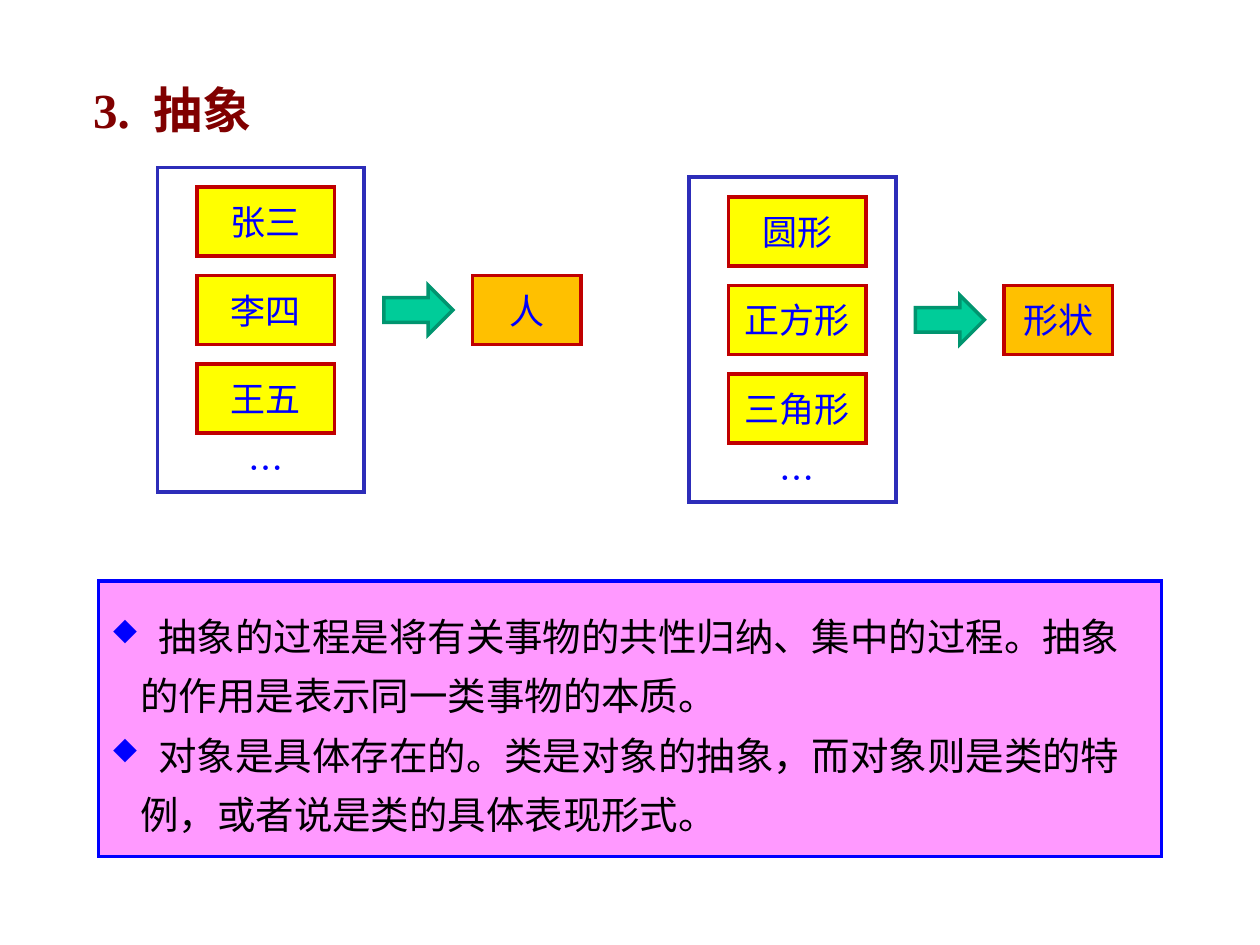
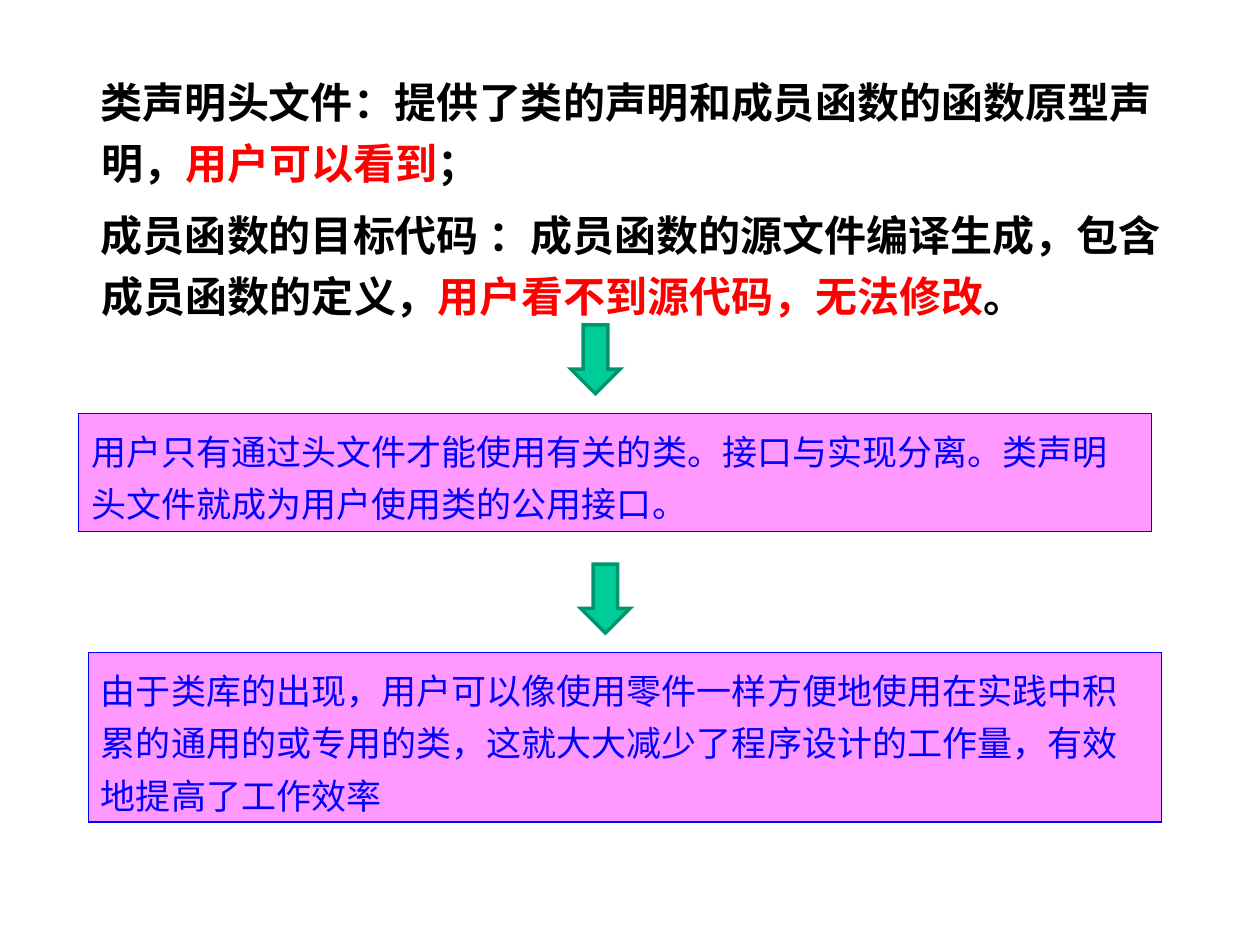
import dataclasses

import lxml.etree
import pptx
import pptx.dml.color
import pptx.enum.shapes
import pptx.enum.text
import pptx.oxml.ns
import pptx.util

SHAPE = pptx.enum.shapes.MSO_SHAPE
ALIGN = pptx.enum.text.PP_ALIGN
ANCHOR = pptx.enum.text.MSO_ANCHOR
Pt = pptx.util.Pt
qn = pptx.oxml.ns.qn
SCALE = 914400 / 128  # EMU in one px


@dataclasses.dataclass(frozen=True)
class Theme:
    serif: str = "Times New Roman"
    sans: str = "Noto Sans CJK SC"
    maroon: str = "800000"
    black: str = "000000"
    red: str = "FF0000"
    blue: str = "0000FF"
    navy: str = "2D2DB9"
    brick: str = "C00000"
    yellow: str = "FFFF00"
    amber: str = "FFC000"
    pink: str = "FF99FF"
    green: str = "00CC99"
    pine: str = "00956F"
    title: int = 28
    lead: int = 24
    body: int = 22
    label: int = 20
    thick: float = 2
    thin: float = 0.75


T = Theme()
TITLE = {"face": T.serif, "size": T.title, "color": T.maroon, "bold": True}
LEAD = {"face": T.serif, "size": T.lead, "color": T.black, "bold": True}
ALERT = LEAD | {"color": T.red}
BODY = {"face": T.serif, "size": T.body, "color": T.black, "bold": False}
WIDE = BODY | {"track": 5.5}
LABEL = {"face": T.sans, "size": T.label, "color": T.blue, "bold": False}
MID = {"alignment": ALIGN.CENTER}


def px(n):
    return round(n * SCALE)


def rgb(code):
    return pptx.dml.color.RGBColor.from_string(code)


def apply(item, values):
    for name, value in values.items():
        setattr(item, name, value)


def node(parent, tag, **attrs):
    return lxml.etree.SubElement(parent, qn(tag), attrs)


def write(shape, paras, form, anchor=ANCHOR.TOP, left=0, first=0, mark=False):
    """Fill a shape with paragraphs, each a list of (text, style) runs."""
    frame = shape.text_frame
    apply(frame, {
        "word_wrap": True, "vertical_anchor": anchor,
        "margin_left": Pt(7.2), "margin_right": Pt(7.2),
        "margin_top": Pt(3.6), "margin_bottom": Pt(3.6),
    })
    for i, runs in enumerate(paras):
        para = frame.add_paragraph() if i else frame.paragraphs[0]
        props = para._p.get_or_add_pPr()
        props.set("marL", str(px(left)))
        props.set("indent", str(px(first)))
        props.set("hangingPunct", "0")
        if mark:
            node(node(props, "a:buClr"), "a:srgbClr", val=T.blue)
            node(props, "a:buSzPct", val="75000")
            node(props, "a:buFont", typeface="Wingdings", charset="2")
            node(props, "a:buChar", char="u")  # a diamond in Wingdings
        else:
            node(props, "a:buNone")
        apply(para, {"alignment": ALIGN.LEFT} | form)
        if i == 0:
            para.space_before = Pt(0)
        for text, style in runs:
            run = para.add_run()
            run.text = text
            apply(run.font, {"name": style["face"], "size": Pt(style["size"]),
                             "bold": style["bold"]})
            run.font.color.rgb = rgb(style["color"])
            props = run._r.get_or_add_rPr()
            node(props, "a:ea", typeface=T.sans)
            if "track" in style:
                props.set("spc", str(round(style["track"] * 100)))


def shape(slide, kind, area, fill, line, width=T.thick):
    item = slide.shapes.add_shape(kind, *map(px, area))
    item.shadow.inherit = False
    if fill:
        item.fill.solid()
        item.fill.fore_color.rgb = rgb(fill)
    else:
        item.fill.background()
    item.line.color.rgb = rgb(line)
    item.line.width = Pt(width)
    node(item.line._get_or_add_ln(), "a:miter", lim="800000")
    return item


def text(slide, area, paras, form, **rest):
    box = slide.shapes.add_textbox(*map(px, area))
    write(box, paras, form, **rest)


def card(slide, area, label, fill):
    item = shape(slide, SHAPE.RECTANGLE, area, fill, T.brick)
    write(item, [[(label, LABEL)]], MID, ANCHOR.MIDDLE)


def arrow(slide, kind, area):
    shape(slide, kind, area, T.green, T.pine)


def group(slide, x, y, names, result):
    """Frame some examples and point to the notion they share."""
    shape(slide, SHAPE.RECTANGLE, (x, y, 210, 330), None, T.navy)
    for i, name in enumerate(names):
        card(slide, (x + 40, y + 20 + 90 * i, 140, 70), name, T.yellow)
    text(slide, (x + 40, y + 280, 140, 50), [[("…", LABEL)]], MID,
         anchor=ANCHOR.MIDDLE)
    arrow(slide, SHAPE.RIGHT_ARROW, (x + 230, y + 120, 70, 50))
    card(slide, (x + 320, y + 110, 110, 70), result, T.amber)


def step(slide, x, y, height, words):
    """Put a note below a down arrow."""
    note = shape(slide, SHAPE.RECTANGLE, (x, y, 1090, height),
                 T.pink, T.blue, T.thin)
    write(note, [[(words, LABEL)]], {"line_spacing": Pt(30)})
    arrow(slide, SHAPE.DOWN_ARROW, (x + 500, y - 90, 50, 70))


def notion(slide):
    text(slide, (42, 74, 1174, 838), [[("3.\t抽象", TITLE)]], {},
         left=101, first=-61)
    group(slide, 160, 170, ["张三", "李四", "王五"], "人")
    group(slide, 700, 180, ["圆形", "正方形", "三角形"], "形状")
    panel = shape(slide, SHAPE.RECTANGLE, (100, 590, 1080, 280), T.pink, T.blue)
    points = [
        "抽象的过程是将有关事物的共性归纳、集中的过程。抽象的作用是表示同一类事物的本质。",
        "对象是具体存在的。类是对象的抽象，而对象则是类的特例，或者说是类的具体表现形式。",
    ]
    write(panel, [[(" ", WIDE), (point, BODY)] for point in points],
          {"line_spacing": Pt(34)}, ANCHOR.MIDDLE, left=30, first=-30, mark=True)


def header(slide):
    text(slide, (50, 60, 1174, 814), [
        [("类声明头文件：提供了类的声明和成员函数的函数原型声明，", LEAD),
         ("用户可以看到", ALERT), ("；", LEAD)],
        [("成员函数的目标代码 ：成员函数的源文件编译生成，包含成员函数的定义，", LEAD),
         ("用户看不到源代码，无法修改", ALERT), ("。", LEAD)],
    ], {"line_spacing": Pt(35), "space_before": Pt(6)}, left=41, first=-1)
    step(slide, 80, 420, 120,
         "用户只有通过头文件才能使用有关的类。接口与实现分离。"
         "类声明头文件就成为用户使用类的公用接口。")
    step(slide, 90, 663, 172,
         "由于类库的出现，用户可以像使用零件一样方便地使用在实践中积累的"
         "通用的或专用的类，这就大大减少了程序设计的工作量，有效地提高了工作效率")


def main():
    deck = pptx.Presentation()
    apply(deck, {"slide_width": px(1280), "slide_height": px(960)})
    for build in (notion, header):
        build(deck.slides.add_slide(deck.slide_layouts[6]))
    deck.save("out.pptx")


if __name__ == "__main__":
    main()
